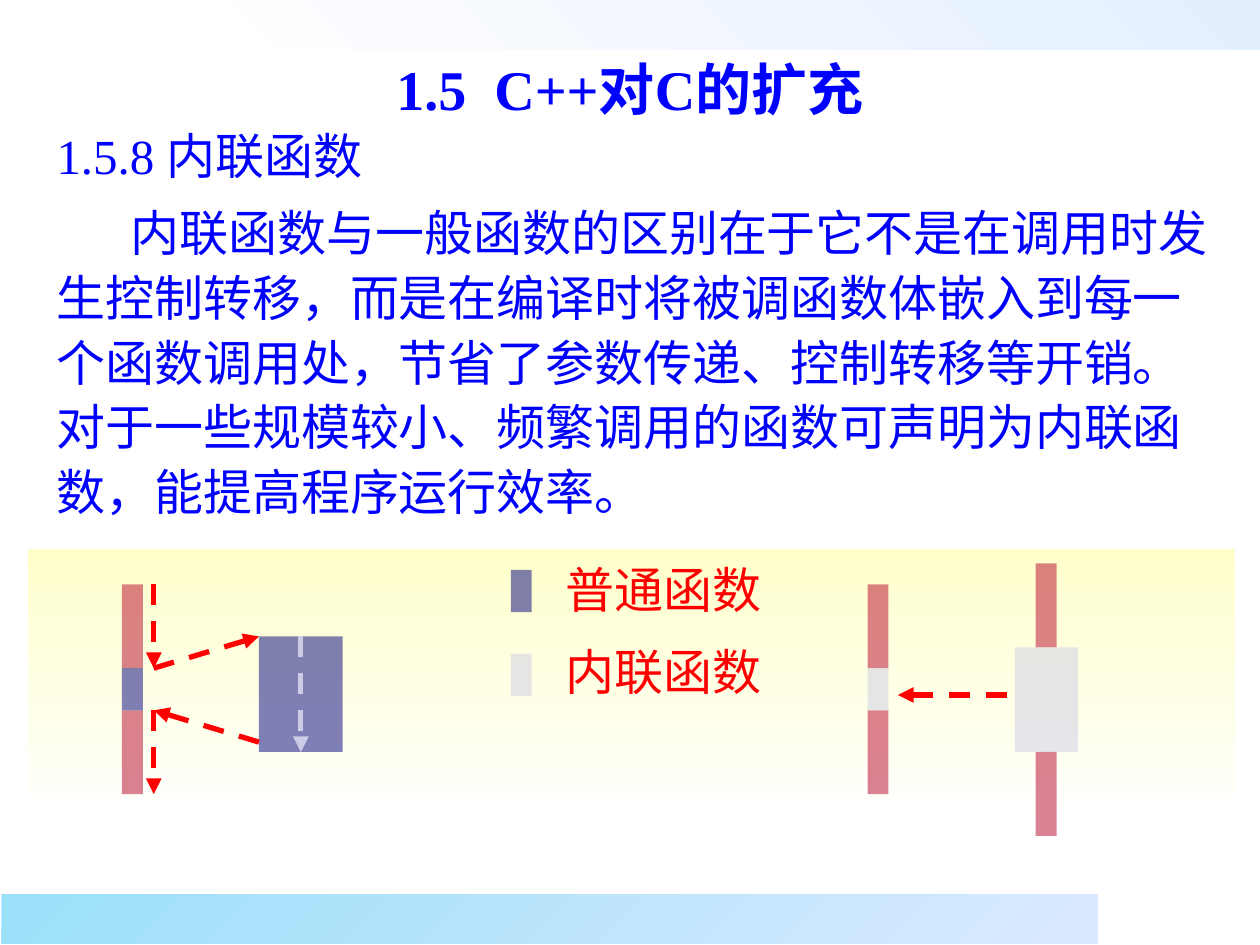
from lxml.etree import SubElement
from pptx import Presentation
from pptx.dml.color import RGBColor
from pptx.enum.dml import MSO_LINE
from pptx.enum.shapes import MSO_CONNECTOR, MSO_SHAPE
from pptx.enum.text import MSO_ANCHOR, PP_ALIGN
from pptx.oxml.ns import qn
from pptx.util import Cm, Pt

WHITE = RGBColor(0xFF, 0xFF, 0xFF)
PALE_BLUE = RGBColor(0xE3, 0xEE, 0xFF)
SKY = RGBColor(0x9B, 0xE0, 0xF9)
LAVENDER = RGBColor(0xDA, 0xE9, 0xFF)
CREAM = RGBColor(0xFF, 0xFF, 0xCC)
BLUE = RGBColor(0x00, 0x00, 0xFF)
RED = RGBColor(0xFF, 0x00, 0x00)
CALLER = RGBColor(0xB6, 0x04, 0x2A)
ORDINARY = RGBColor(0x00, 0x00, 0x7D)
INLINE = RGBColor(0xCC, 0xCC, 0xE6)

FONT = "Times New Roman"
BAR_WIDTH = 0.42
CODE_HEIGHT = 1.69
CALL_HEIGHT = 0.85
BAR_TOP = 11.78
CALL_TOP = BAR_TOP + CODE_HEIGHT
CALL_BOTTOM = CALL_TOP + CALL_HEIGHT
BAR_BOTTOM = CALL_BOTTOM + CODE_HEIGHT

HEADING = "1.5.8 内联函数"
EXPLANATION = (
    "内联函数与一般函数的区别在于它不是在调用时发生控制转移，"
    "而是在编译时将被调函数体嵌入到每一个函数调用处，"
    "节省了参数传递、控制转移等开销。"
    "对于一些规模较小、频繁调用的函数可声明为内联函数，能提高程序运行效率。"
)


def write_text(paragraph, text, *, color, size=28, bold=False, align=PP_ALIGN.LEFT,
               line_spacing=1.0, space_before=0, indent=0):
    """Write one formatted run into a paragraph."""
    paragraph.alignment = align
    paragraph.line_spacing = line_spacing
    paragraph.space_before = Pt(space_before)
    if indent:
        paragraph._p.get_or_add_pPr().set("indent", str(Cm(indent)))
    run = paragraph.add_run()
    run.text = text
    run.font.name = FONT
    run.font.size = Pt(size)
    run.font.bold = bold
    run.font.color.rgb = color


def add_text_frame(slide, left, top, width, height):
    """Add a wrapping text box and return its frame."""
    box = slide.shapes.add_textbox(Cm(left), Cm(top), Cm(width), Cm(height))
    box.text_frame.word_wrap = True
    return box.text_frame


def add_rectangle(slide, left, top, width, height):
    """Add a rectangle without outline or shadow."""
    shape = slide.shapes.add_shape(
        MSO_SHAPE.RECTANGLE, Cm(left), Cm(top), Cm(width), Cm(height))
    shape.shadow.inherit = False
    shape.line.fill.background()
    return shape


def add_gradient(slide, bounds, colors, angle):
    """Add a rectangle with a two-colour linear gradient."""
    fill = add_rectangle(slide, *bounds).fill
    fill.gradient()
    fill.gradient_angle = angle
    for position, (stop, color) in enumerate(zip(fill.gradient_stops, colors)):
        stop.position = position
        stop.color.rgb = color


def add_block(slide, left, top, width, height, color):
    """Add a half-transparent block of code."""
    shape = add_rectangle(slide, left, top, width, height)
    shape.fill.solid()
    shape.fill.fore_color.rgb = color
    color_element = shape._element.spPr.find(qn("a:solidFill"))[0]
    SubElement(color_element, qn("a:alpha"), val="50000")


def add_arrow(slide, start, end, color=RED):
    """Add a dashed arrow between two points."""
    connector = slide.shapes.add_connector(
        MSO_CONNECTOR.STRAIGHT, *map(Cm, start + end))
    connector.line.color.rgb = color
    connector.line.width = Pt(3)
    connector.line.dash_style = MSO_LINE.DASH
    SubElement(connector.line._get_or_add_ln(), qn("a:tailEnd"), type="triangle")
    SubElement(connector._element.spPr, qn("a:effectLst"))


def add_caller(slide, left, call_color):
    """Add a caller bar with its call site in the middle."""
    for top in (BAR_TOP, CALL_BOTTOM):
        add_block(slide, left, top, BAR_WIDTH, CODE_HEIGHT, CALLER)
    add_block(slide, left, CALL_TOP, BAR_WIDTH, CALL_HEIGHT, call_color)


def add_legend(slide):
    """Add the two legend entries."""
    entries = (("普通函数", ORDINARY, 11.49, 10.92), ("内联函数", INLINE, 13.18, 12.57))
    for label, color, marker_top, label_top in entries:
        add_block(slide, 10.3, marker_top, BAR_WIDTH, CALL_HEIGHT, color)
        frame = add_text_frame(slide, 11.15, label_top, 4.88, 1.68)
        write_text(frame.paragraphs[0], label, color=RED, line_spacing=1.2)


def add_ordinary_call(slide):
    """Draw control moving to an ordinary function and back."""
    flow, body_left, body_top, body_width, body_height = 3.1, 5.22, 12.83, 1.69, 2.33
    body_bottom = body_top + body_height
    body_center = body_left + body_width / 2
    add_caller(slide, 2.46, ORDINARY)
    add_block(slide, body_left, body_top, body_width, body_height, ORDINARY)
    add_arrow(slide, (flow, BAR_TOP), (flow, CALL_TOP))
    add_arrow(slide, (flow, CALL_TOP), (body_left, body_top))
    add_arrow(slide, (body_center, body_top), (body_center, body_bottom), INLINE)
    add_arrow(slide, (body_left, body_bottom - 0.2), (flow, CALL_BOTTOM))
    add_arrow(slide, (flow, CALL_BOTTOM), (flow, BAR_BOTTOM))


def add_inline_call(slide):
    """Draw an inline function body embedded at its call site."""
    add_caller(slide, 17.49, INLINE)
    for top in (11.36, 15.16):
        add_block(slide, 20.88, top, BAR_WIDTH, CODE_HEIGHT, CALLER)
    add_block(slide, 20.46, 13.05, 1.27, 2.11, INLINE)
    add_arrow(slide, (20.3, 14.01), (18.1, 14.01))


def add_title(slide):
    """Place and format the title."""
    title = slide.shapes.title
    title.left, title.top, title.width, title.height = map(Cm, (0, 0.97, 25.4, 1.63))
    title.text_frame.vertical_anchor = MSO_ANCHOR.MIDDLE
    write_text(title.text_frame.paragraphs[0], "1.5  C++对C的扩充", color=BLUE,
               size=32, bold=True, align=PP_ALIGN.CENTER)


def add_body(slide):
    """Add the section heading and its explanation."""
    frame = add_text_frame(slide, 0.89, 2.41, 23.8, 8.2)
    write_text(frame.paragraphs[0], HEADING, color=BLUE)
    write_text(frame.add_paragraph(), EXPLANATION, color=BLUE,
               line_spacing=1.1, space_before=7, indent=1.5)


def main():
    """Build and save the slide."""
    presentation = Presentation()
    presentation.slide_width, presentation.slide_height = Cm(25.4), Cm(19.05)
    slide = presentation.slides.add_slide(presentation.slide_layouts[5])
    add_gradient(slide, (3.91, 0, 21.49, 1), (WHITE, PALE_BLUE), 45)
    add_gradient(slide, (0.03, 18.03, 22.1, 1), (SKY, LAVENDER), 315)
    add_title(slide)
    add_body(slide)
    add_gradient(slide, (0.56, 11.07, 24.33, 5.51), (CREAM, WHITE), 270)
    add_legend(slide)
    add_ordinary_call(slide)
    add_inline_call(slide)
    presentation.save("out.pptx")


if __name__ == "__main__":
    main()
